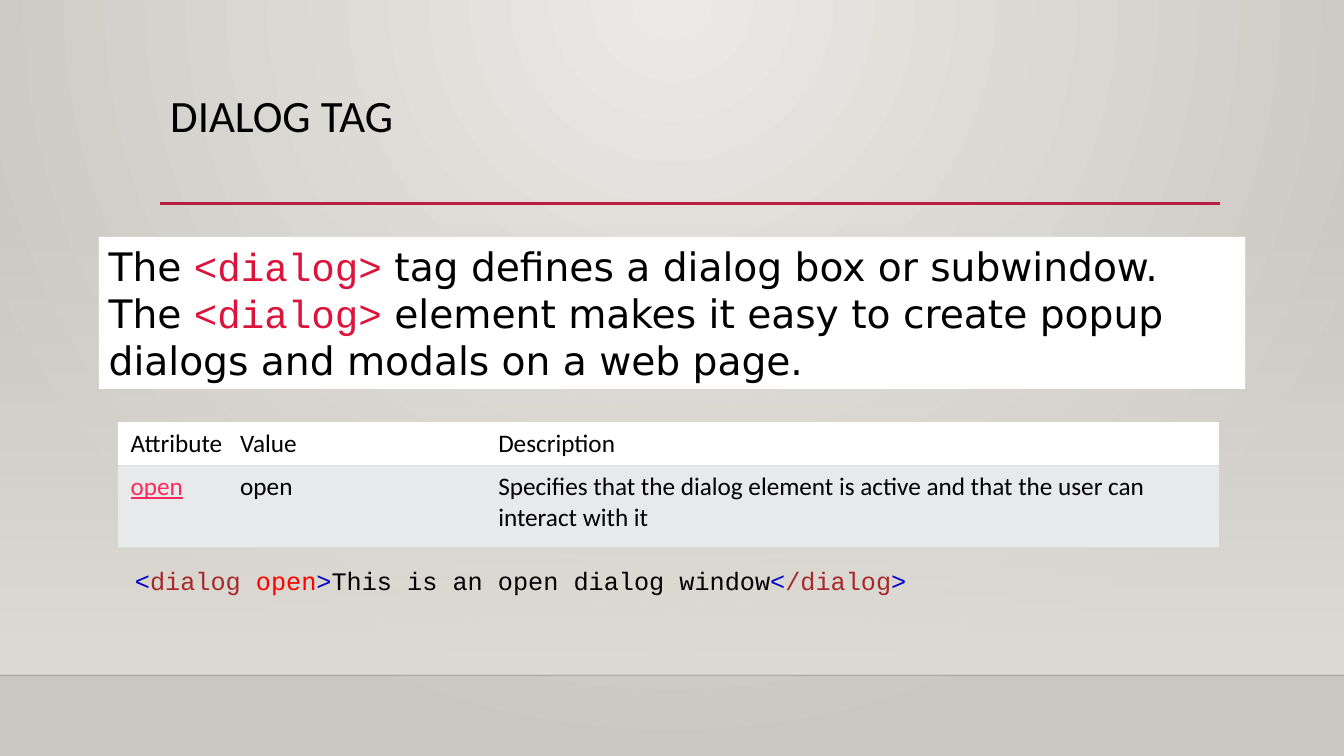
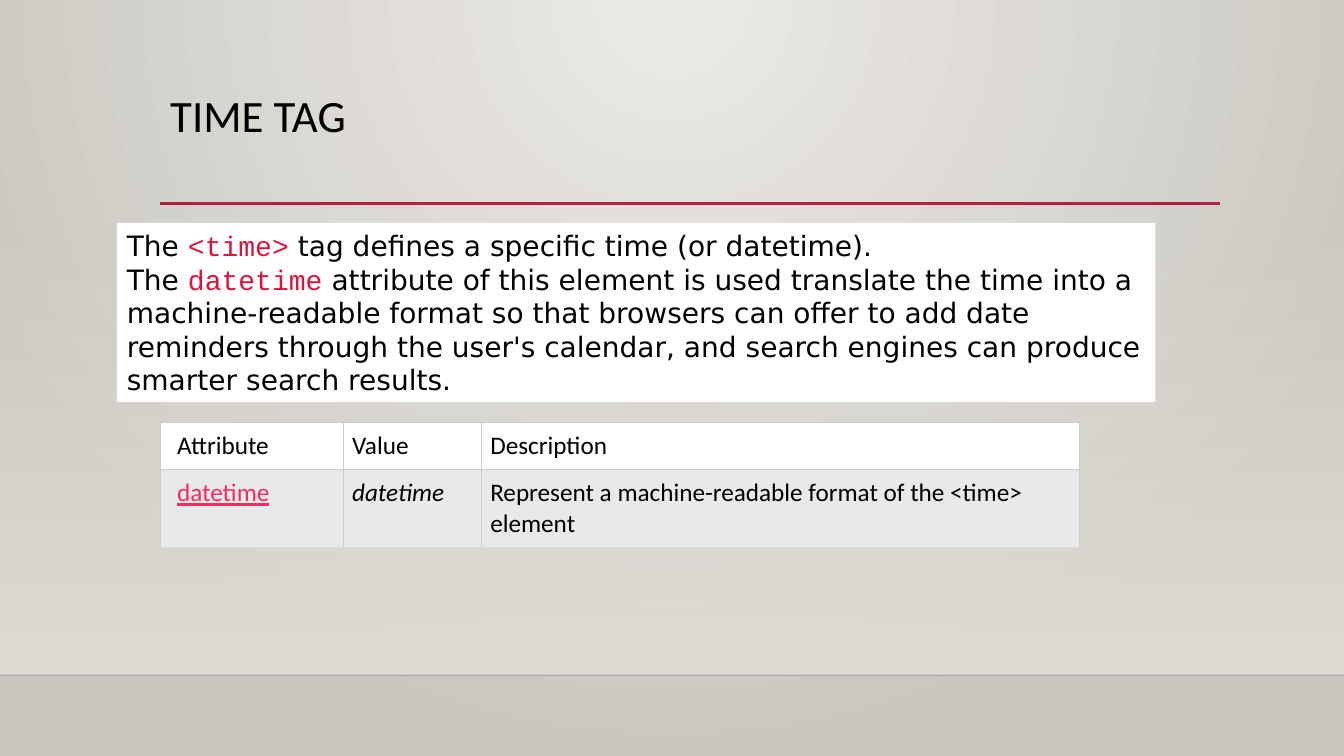
from dataclasses import dataclass
from lxml.etree import SubElement
from pptx import Presentation
from pptx.dml.color import RGBColor
from pptx.enum.shapes import MSO_CONNECTOR as Connector, MSO_SHAPE as Preset
from pptx.enum.text import MSO_ANCHOR as Anchor, MSO_AUTO_SIZE as AutoSize
from pptx.oxml import parse_xml
from pptx.oxml.ns import nsdecls, qn
from pptx.util import Inches, Pt


# Theme: every colour, font and type size
@dataclass(frozen=True)
class Theme:
    text: str = "000000"
    accent: str = "B71E42"
    link: str = "FA2B5C"
    white: str = "FFFFFF"
    stripe: str = "E7E9EB"
    soft_border: str = "DDDDDD"
    box_border: str = "CCCCCC"
    wall_light: str = "ECEAE7"
    wall_dark: str = "CAC7C1"
    floor: str = "DFDBD5"
    edge: str = "000001"
    crimson: str = "DC143C"
    bracket: str = "0000CD"
    tag: str = "A52A2A"
    attribute: str = "FF0000"
    heading_font: str = "Calibri"
    body_font: str = "DejaVu Sans"
    code_font: str = "Courier New"
    title_size: int = 32
    large_size: int = 28
    medium_size: int = 20
    small_size: int = 18


THEME = Theme()
PLAIN_TABLE = "{2D5ABB26-0587-4C30-8999-92F81FD0307C}"
RADIAL = ('<a:path path="circle">'
          '<a:fillToRect l="43000" t="0" r="43000" b="100000"/></a:path>')
DOWNWARD = '<a:lin ang="5400000" scaled="0"/>'


def set_gradient(parent, stops, direction):
    """Replace the solid fill of parent; stops are (position, colour, opacity) in percent."""
    stop_xml = "".join(
        f'<a:gs pos="{position * 1000}"><a:srgbClr val="{color}">'
        f'<a:alpha val="{opacity * 1000}"/></a:srgbClr></a:gs>'
        for position, color, opacity in stops)
    gradient = parse_xml(f'<a:gradFill {nsdecls("a")} rotWithShape="1">'
                         f'<a:gsLst>{stop_xml}</a:gsLst>{direction}</a:gradFill>')
    parent.replace(parent.find(qn("a:solidFill")), gradient)


class Deck:
    """Holds the theme and current slide; lengths are percent of the slide's size."""

    def __init__(self, theme):
        self.theme = theme
        self.presentation = Presentation()
        self.presentation.slide_width = Inches(13.33)
        self.presentation.slide_height = Inches(7.5)
        self.slide = None

    def x(self, share):
        return round(self.presentation.slide_width * share / 100)

    def y(self, share):
        return round(self.presentation.slide_height * share / 100)

    def area(self, left, top, width, height):
        return self.x(left), self.y(top), self.x(width), self.y(height)

    # Shared scenery and title
    def add_slide(self, title):
        theme = self.theme
        self.slide = self.presentation.slides.add_slide(self.presentation.slide_layouts[6])
        self.slide.background.fill.solid()
        set_gradient(self.slide.element.find(".//" + qn("p:bgPr")),
                     [(0, theme.wall_light, 100), (100, theme.wall_dark, 100)], RADIAL)
        floor = self.slide.shapes.add_shape(Preset.RECTANGLE, *self.area(0, 29.47, 100, 59.87))
        floor.shadow.inherit = False
        floor.line.fill.background()
        floor.fill.solid()
        set_gradient(floor.element.spPr,
                     [(0, theme.floor, 0), (100, theme.floor, 100)], DOWNWARD)
        self.add_rule(0, 100, 89.33, theme.edge, 1, opacity=20)
        self.add_rule(11.93, 90.77, 26.93, theme.accent, 2.5)
        self.add_text((11.93, 11.73, 78.77, 15.33), [[(title, {})]],
                      theme.heading_font, theme.title_size, line_spacing=0.9)

    def add_rule(self, start, end, height, color, width, opacity=100):
        line = self.slide.shapes.add_connector(
            Connector.STRAIGHT, self.x(start), self.y(height), self.x(end), self.y(height))
        line.line.color.rgb = RGBColor.from_string(color)
        line.line.width = Pt(width)
        properties = line.element.spPr
        SubElement(properties.find(".//" + qn("a:srgbClr")), qn("a:alpha"),
                   val=str(opacity * 1000))
        SubElement(properties, qn("a:effectLst"))

    # Text
    def add_runs(self, paragraph, runs, font, size):
        for text, changes in runs:
            run = paragraph.add_run()
            run.text = text
            values = {"name": font, "size": Pt(size), "color": self.theme.text, **changes}
            run.font.color.rgb = RGBColor.from_string(values.pop("color"))
            for name, value in values.items():
                setattr(run.font, name, value)

    def add_text(self, area, paragraphs, font, size, fill=None, line_spacing=1.0, **frame_format):
        box = self.slide.shapes.add_textbox(*self.area(*area))
        if fill:
            box.fill.solid()
            box.fill.fore_color.rgb = RGBColor.from_string(fill)
        frame = box.text_frame
        for name, value in {"word_wrap": True, **frame_format}.items():
            setattr(frame, name, value)
        for index, runs in enumerate(paragraphs):
            paragraph = frame.add_paragraph() if index else frame.paragraphs[0]
            paragraph.line_spacing = line_spacing
            self.add_runs(paragraph, runs, font, size)

    def add_definition(self, area, paragraphs, size):
        self.add_text(area, paragraphs, self.theme.body_font, size, fill=self.theme.white,
                      vertical_anchor=Anchor.MIDDLE, auto_size=AutoSize.SHAPE_TO_FIT_TEXT)

    def add_code(self, area, runs):
        self.add_text(area, [runs], self.theme.code_font, self.theme.small_size,
                      auto_size=AutoSize.SHAPE_TO_FIT_TEXT)

    # Attribute table
    def add_attributes(self, left, top, columns, rows, entry, padding, first_padding, boxed):
        theme = self.theme
        header = [(name, {}) for name in ("Attribute", "Value", "Description")]
        frame = self.slide.shapes.add_table(
            2, 3, *self.area(left, top, sum(columns), sum(rows)))
        table = frame.table
        table.first_row = table.horz_banding = False
        frame.element.find(".//" + qn("a:tableStyleId")).text = PLAIN_TABLE
        for column, width in zip(table.columns, columns):
            column.width = self.x(width)
        for row, height in zip(table.rows, rows):
            row.height = self.y(height)
        cell_elements = iter(frame.element.findall(".//" + qn("a:tc")))
        looks = [(header, theme.white, "LRTB" if boxed else "B"),
                 (entry, theme.stripe, "LRTB" if boxed else "TB")]
        for row, (content, fill, sides) in enumerate(looks):
            for column, run in enumerate(content):
                cell = table.cell(row, column)
                margins = {"left": padding if column else first_padding,
                           "right": padding, "top": padding, "bottom": padding}
                for side, margin in margins.items():
                    setattr(cell, f"margin_{side}", Pt(margin))
                properties = next(cell_elements).find(qn("a:tcPr"))
                for side in sides:
                    soft = not boxed or (row == 1 and side == "B")
                    self.add_border(properties, side,
                                    theme.soft_border if soft else theme.box_border)
                cell.fill.solid()
                cell.fill.fore_color.rgb = RGBColor.from_string(fill)
                self.add_runs(cell.text_frame.paragraphs[0], [run],
                              theme.heading_font, theme.small_size)

    def add_border(self, cell_properties, side, color):
        border = SubElement(cell_properties, qn(f"a:ln{side}"), w=str(Pt(0.75)))
        SubElement(SubElement(border, qn("a:solidFill")), qn("a:srgbClr"), val=color)


deck = Deck(THEME)
KEYWORD = {"name": THEME.code_font, "color": THEME.crimson}
LINK = {"color": THEME.link, "underline": True}
BRACKET = {"color": THEME.bracket}
TAG = {"color": THEME.tag}

# Dialog tag
deck.add_slide("DIALOG TAG")
deck.add_definition((7.35, 31.33, 85.3, 20.13), [
    [("The\u00a0", {}), ("<dialog>", KEYWORD),
     ("\u00a0tag defines a dialog box or subwindow.", {})],
    [("The\u00a0", {}), ("<dialog>", KEYWORD),
     ("\u00a0element makes it easy to create popup dialogs and modals on a web page.", {})],
], THEME.large_size)
deck.add_attributes(
    8.78, 55.87, columns=(8.63, 19.2, 54.09), rows=(5.47, 10.87),
    entry=[("open", LINK), ("open", {}),
           ("Specifies that the dialog element is active and that the user can "
            "interact with it", {})],
    padding=4.5, first_padding=9, boxed=False)
deck.add_code((9.3, 74.13, 77.87, 5.33), [
    ("<", BRACKET), ("dialog", TAG), ("\u00a0open", {"color": THEME.attribute}), (">", BRACKET),
    ("This is an open dialog window", {}), ("<", BRACKET), ("/dialog", TAG), (">", BRACKET)])

# Time tag
deck.add_slide("TIME TAG")
deck.add_definition((8.7, 29.47, 77.27, 23.73), [
    [("The\u00a0", {}), ("<time>", KEYWORD),
     ("\u00a0tag defines a specific time (or datetime).", {})],
    [("The\u00a0", {}), ("datetime", KEYWORD),
     ("\u00a0attribute of this element is used translate the time into a machine-readable "
      "format so that browsers can offer to add date reminders through the user's calendar, "
      "and search engines can produce smarter search results.", {})],
], THEME.medium_size)
deck.add_attributes(
    11.93, 55.87, columns=(13.65, 10.28, 44.49), rows=(6.13, 10.27),
    entry=[("datetime", LINK), ("datetime", {"italic": True}),
           ("Represent a machine-readable format of the <time> element", {})],
    padding=6, first_padding=12, boxed=True)

deck.presentation.save("out.pptx")
